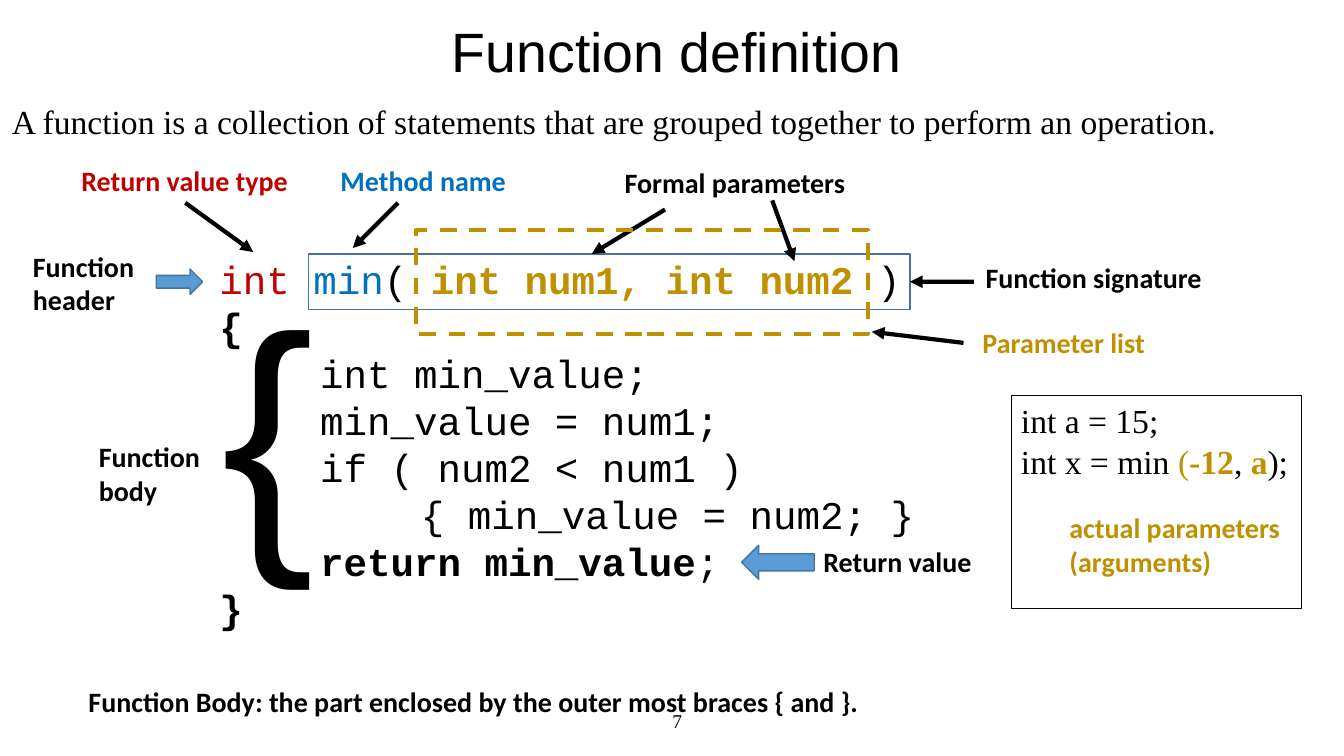
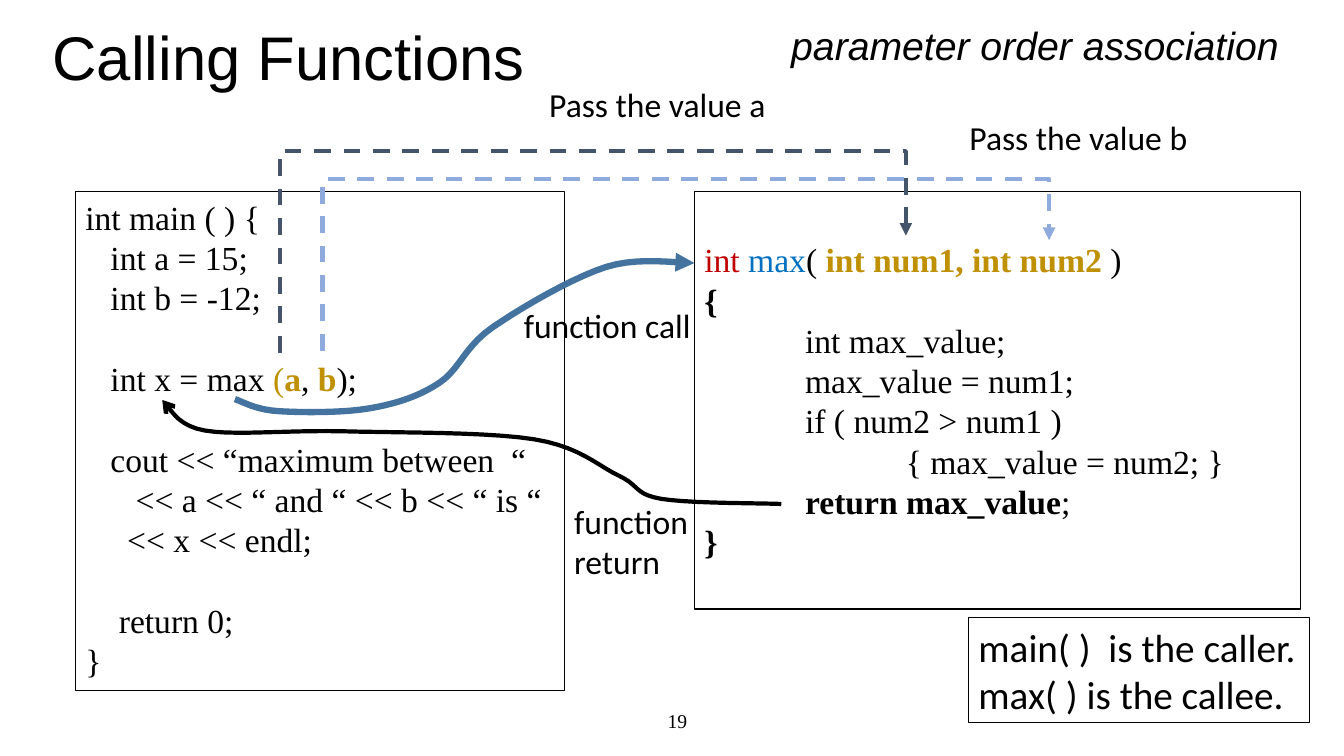
from dataclasses import dataclass

from lxml.etree import SubElement
from pptx import Presentation
from pptx.dml.color import RGBColor
from pptx.enum.dml import MSO_LINE
from pptx.enum.shapes import MSO_CONNECTOR as Link, MSO_SHAPE as Shape
from pptx.enum.text import MSO_ANCHOR as Anchor, PP_ALIGN as Align
from pptx.oxml.ns import qn
from pptx.util import Cm, Pt


@dataclass(frozen=True)
class Theme:
    black: str = "000000"
    red: str = "C00000"
    blue: str = "0070C0"
    gold: str = "BF9000"
    arrow_fill: str = "5B9BD5"
    arrow_line: str = "43739E"
    pass_a: str = "44546A"
    pass_b: str = "8FAADC"
    heading: str = "Arial"
    label: str = "Calibri"
    serif: str = "Times New Roman"
    mono: str = "Courier New"
    number_size: float = 14
    label_size: float = 20
    text_size: float = 24
    large_size: float = 28
    brace_size: float = 199
    thin: float = 0.75
    line: float = 3
    thick: float = 4.5


THEME = Theme()

# Code style: colour, bold
CODE = {
    "plain": (THEME.black, False),
    "bold": (THEME.black, True),
    "type": (THEME.red, False),
    "name": (THEME.blue, False),
    "param": (THEME.gold, True),
    "paren": (THEME.gold, False),
}


@dataclass(frozen=True)
class Region:
    """A part of a slide; places inside it are in cm from its corner."""
    slide: object
    left: float = 0
    top: float = 0

    def at(self, x, y):
        return Cm(self.left + x), Cm(self.top + y)


def style_font(font, face, size, color=THEME.black, bold=False, italic=False):
    font.name, font.size, font.bold, font.italic = face, Pt(size), bold, italic
    font.color.rgb = RGBColor.from_string(color)


def style_line(drawn, color, width, dash=None, head=None):
    line = drawn.line
    line.color.rgb = RGBColor.from_string(color)
    line.width = Pt(width)
    if dash:
        line.dash_style = dash
    if head:
        SubElement(line._get_or_add_ln(), qn("a:tailEnd"), type=head)


def add_block(region, x, y, w, h, kind=Shape.RECTANGLE, fill=None,
              line=THEME.black, width=THEME.thin, dash=None):
    block = region.slide.shapes.add_shape(kind, *region.at(x, y), Cm(w), Cm(h))
    block.shadow.inherit = False
    if fill:
        block.fill.solid()
        block.fill.fore_color.rgb = RGBColor.from_string(fill)
    else:
        block.fill.background()
    style_line(block, line, width, dash)
    return block


def prepare_frame(holder, anchor=Anchor.TOP):
    frame = holder.text_frame
    frame.word_wrap = True
    frame.margin_right = 0
    frame.vertical_anchor = anchor
    return frame


def add_textbox(region, x, y, w, h):
    return region.slide.shapes.add_textbox(*region.at(x, y), Cm(w), Cm(h))


def write(holder, text, face, size, color=THEME.black, bold=False, italic=False,
          align=Align.LEFT, anchor=Anchor.TOP, spacing=None):
    frame = prepare_frame(holder, anchor)
    frame.text = text
    for paragraph in frame.paragraphs:
        paragraph.alignment = align
        paragraph.line_spacing = spacing
        for run in paragraph.runs:
            style_font(run.font, face, size, color, bold, italic)


def write_code(holder, lines, face, size, anchor=Anchor.TOP):
    """Write lines of (text, style) parts; None leaves a line free."""
    frame = prepare_frame(holder, anchor)
    pitch = Pt(1.2 * size)
    paragraph, gap = frame.paragraphs[0], False
    for number, parts in enumerate(lines):
        if parts is None:
            gap = True
            continue
        if number:
            paragraph = frame.add_paragraph()
        tabs = SubElement(paragraph._p.get_or_add_pPr(), qn("a:tabLst"))
        for stop in (2.54, 5.08):
            SubElement(tabs, qn("a:tab"), pos=str(Cm(stop)), algn="l")
        paragraph.alignment = Align.LEFT
        paragraph.line_spacing = pitch
        if gap:
            paragraph.space_before = pitch
            gap = False
        for text, style in parts:
            run = paragraph.add_run()
            run.text = text
            style_font(run.font, face, size, *CODE[style])


def finish_connector(connector, color, dash=None):
    style_line(connector, color, THEME.line, dash, "triangle")
    SubElement(connector._element.spPr, qn("a:effectLst"))


def add_arrow(region, start, end, target=None, side=None):
    arrow = region.slide.shapes.add_connector(
        Link.STRAIGHT, *region.at(*start), *region.at(*end))
    if target is not None:
        arrow.end_connect(target, side)
    finish_connector(arrow, THEME.black)


def add_pass_arrow(region, start, end, peak, color):
    """Elbow that rises from start to peak, runs right and drops to end."""
    (x1, y1), (x2, y2) = start, end
    rise, run = y1 - y2, x2 - x1
    mid_x, mid_y = (x1 + x2) / 2, (y1 + y2) / 2
    elbow = region.slide.shapes.add_connector(
        Link.ELBOW,
        *region.at(mid_x + rise / 2, mid_y + run / 2),
        *region.at(mid_x - rise / 2, mid_y - run / 2))
    properties = elbow._element.spPr
    properties.find(qn("a:xfrm")).set("rot", "5400000")
    geometry = properties.find(qn("a:prstGeom"))
    adjust = geometry.find(qn("a:avLst"))
    if adjust is None:
        adjust = SubElement(geometry, qn("a:avLst"))
    SubElement(adjust, qn("a:gd"), name="adj1",
               fmla=f"val {round(100000 * (y1 - peak) / rise)}")
    finish_connector(elbow, color, MSO_LINE.DASH)


def spline(anchors, steps=10):
    """Points of a smooth curve through all anchors."""
    padded = [anchors[0], *anchors, anchors[-1]]
    points = [anchors[0]]
    for a, b, c, d in zip(padded, padded[1:], padded[2:], padded[3:]):
        for step in range(1, steps + 1):
            t = step / steps
            points.append(tuple(
                q + t * (r - p) / 2 + t ** 2 * (2 * p - 5 * q + 4 * r - s) / 2
                + t ** 3 * (3 * q - p - 3 * r + s) / 2
                for p, q, r, s in zip(a, b, c, d)))
    return points


def add_curve(region, anchors, color, width, head):
    first, *rest = [region.at(x, y) for x, y in spline(anchors)]
    builder = region.slide.shapes.build_freeform(*first)
    builder.add_line_segments(rest, close=False)
    curve = builder.convert_to_shape()
    curve.shadow.inherit = False
    curve.fill.background()
    style_line(curve, color, width, head=head)


def function_listing(name, comparison):
    value = f"{name}_value"
    return [
        [("int ", "type"), (name, "name"), ("( ", "plain"),
         ("int num1, int num2 ", "param"), (")", "plain")],
        [("{", "bold")],
        [(f"\tint {value};", "plain")],
        [(f"\t{value} = num1;", "plain")],
        [(f"\tif ( num2 {comparison} num1 )", "plain")],
        [(f"\t\t{{ {value} = num2; }}", "plain")],
        [(f"\treturn {value}", "bold"), (";", "plain")],
        [("}", "bold")],
    ]


def call_line(start, first, second):
    return [(start, "plain"), ("(", "paren"), (first, "param"), (", ", "plain"),
            (second, "param"), (");", "plain")]


def start_slide(deck, title, number, box, size, align):
    page = Region(deck.slides.add_slide(deck.slide_layouts[6]))
    write(add_textbox(page, *box), title, THEME.heading, size,
          align=align, anchor=Anchor.MIDDLE, spacing=0.9)
    write(add_textbox(page, 11.23, 17.65, 11.43, 1.02), str(number), THEME.serif,
          THEME.number_size, align=Align.CENTER, anchor=Anchor.MIDDLE)
    return page


def draw_anatomy(region):
    write(add_textbox(region, 4.83, 2.27, 1.04, 8.76), "{",
          THEME.heading, THEME.brace_size)
    write_code(add_textbox(region, 4.78, 2.25, 25.4, 9.83),
               function_listing("min", "<"), THEME.mono, THEME.large_size,
               Anchor.MIDDLE)
    for text, x, y, w, h, color in (
            ("Return value type", 1.3, 0, 5.77, 1.12, THEME.red),
            ("Method name", 7.83, 0, 4.72, 1.12, THEME.blue),
            ("Formal parameters", 14.99, 0.04, 6.12, 1.12, THEME.black),
            ("Function signature", 24.09, 2.43, 5.99, 1.12, THEME.black),
            ("Parameter list", 24.01, 4.08, 4.62, 1.12, THEME.gold),
            ("Function\nheader", 0.08, 2.15, 3.1, 1.96, THEME.black),
            ("Function\nbody", 1.74, 6.95, 3.1, 1.96, THEME.black),
            ("Return value", 20, 9.59, 4.29, 1.12, THEME.black)):
        write(add_textbox(region, x, y, w, h), text, THEME.label,
              THEME.label_size, color, bold=True)
    signature = add_block(region, 7.27, 2.4, 15.16, 1.4,
                          line=THEME.arrow_line, width=1)
    for kind, *box in ((Shape.RIGHT_ARROW, 3.44, 2.78, 1.17, 0.64),
                       (Shape.LEFT_ARROW, 18.19, 9.74, 1.83, 0.86)):
        add_block(region, *box, kind, THEME.arrow_fill, THEME.arrow_line, 1)
    for start, end in (((4.17, 1.11), (5.88, 2.35)),
                       ((9.53, 1.11), (8.39, 2.25)),
                       ((16.26, 1.28), (14.41, 2.4)),
                       ((18.96, 1.05), (19.52, 2.58)),
                       ((23.78, 4.64), (21.47, 4.36))):
        add_arrow(region, start, end)
    add_arrow(region, (24.04, 3.1), (22.43, 3.1), signature, 3)
    add_block(region, 9.99, 1.79, 11.38, 2.62, line=THEME.gold,
              width=THEME.line, dash=MSO_LINE.DASH)


def draw_usage(region):
    write_code(add_block(region, 0, 0, 7.32, 5.38),
               [[("int a = 15;", "plain")], call_line("int x = min ", "-12", "a")],
               THEME.serif, THEME.text_size)
    write(add_textbox(region, 1.22, 2.79, 5.94, 1.96),
          "actual parameters\n(arguments)", THEME.label, THEME.label_size,
          THEME.gold, bold=True)


def draw_main(region):
    def plain(text):
        return [(text, "plain")]

    write_code(add_block(region, 0, 0, 12.32, 12.57), [
        plain("int main ( ) {"),
        plain("   int a = 15;"),
        plain("   int b = -12;"),
        None,
        call_line("   int x = max ", "a", "b"),
        None,
        plain("   cout << “maximum between  “"),
        plain("      << a << “ and “ << b << “ is “"),
        plain("     << x << endl;"),
        None,
        plain("    return 0;"),
        plain("}"),
    ], THEME.serif, THEME.text_size)


def draw_call_flow(region):
    add_pass_arrow(region, (5.16, 6.91), (20.93, 3.96), 1.83, THEME.pass_a)
    add_pass_arrow(region, (6.23, 6.86), (24.54, 4.07), 2.54, THEME.pass_b)
    add_curve(region, [(17.79, 10.72), (14.76, 10.59), (13.7, 10.01),
                       (11.56, 9.09), (6.76, 8.89), (3.26, 8.87), (2.19, 8.1)],
              THEME.black, THEME.line, "arrow")
    add_curve(region, [(4.02, 8.08), (5.09, 8.38), (7.42, 8.31), (9.17, 7.67),
                       (10.5, 6.28), (13.37, 4.75), (15.6, 4.65)],
              THEME.arrow_line, THEME.thick, "triangle")
    for text, x, y, w, h in (("Pass the value a", 11.69, 0, 6.02, 1.27),
                             ("Pass the value b", 22.28, 0.84, 6.05, 1.27),
                             ("function call", 11.05, 5.59, 4.9, 1.27),
                             ("function\nreturn", 12.32, 10.52, 3.61, 2.31)):
        write(add_textbox(region, x, y, w, h), text, THEME.label, THEME.text_size)


def definition_slide(deck):
    page = start_slide(deck, "Function definition", 7, (0, 0.64, 33.87, 1.47),
                       39.6, Align.CENTER)
    write(add_textbox(page, 0.05, 2.41, 33.8, 1.27),
          "A function is a collection of statements that are grouped together "
          "to perform an operation.", THEME.serif, THEME.text_size)
    draw_anatomy(Region(page.slide, 0.5, 4))
    draw_usage(Region(page.slide, 25.48, 9.96))
    write(add_textbox(page, 1.98, 17.12, 22.81, 1.12),
          "Function Body: the part enclosed by the outer most braces { and }.",
          THEME.label, THEME.label_size, bold=True)


def calling_slide(deck):
    page = start_slide(deck, "Calling Functions", 19, (1.07, 0.5, 18, 2.04),
                       44, Align.LEFT)
    write_code(add_block(page, 17.5, 4.83, 15.27, 10.52, width=1),
               function_listing("max", ">"), THEME.serif, THEME.text_size,
               Anchor.MIDDLE)
    draw_main(Region(page.slide, 1.9, 4.83))
    draw_call_flow(Region(page.slide, 1.9, 1.98))
    write(add_block(page, 24.41, 15.57, 8.59, 2.64),
          "main( )  is the caller.\nmax( ) is the callee.",
          THEME.label, THEME.large_size)
    write(add_textbox(page, 19.69, 0.41, 12.95, 1.45),
          "parameter order association", THEME.heading, THEME.large_size,
          italic=True)


def main():
    deck = Presentation()
    deck.slide_width, deck.slide_height = Cm(33.87), Cm(19.05)
    definition_slide(deck)
    calling_slide(deck)
    deck.save("out.pptx")


if __name__ == "__main__":
    main()
